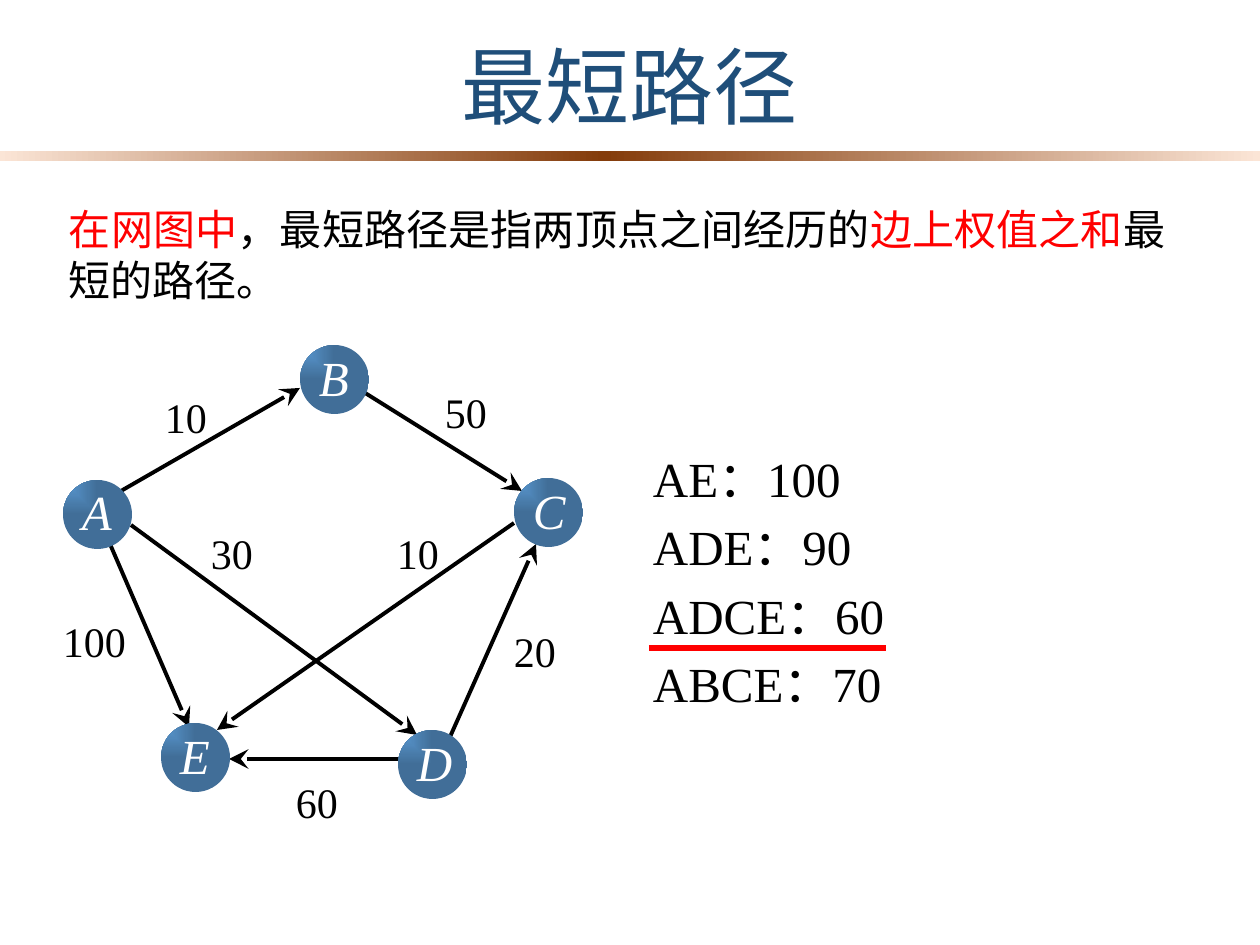
from dataclasses import dataclass

from lxml import etree
from pptx import Presentation
from pptx import util as u
from pptx.dml.color import RGBColor
from pptx.enum import shapes, text
from pptx.oxml import ns, parse_xml

PX = 914400 / 126


def px(value):
    return u.Emu(round(value * PX))


@dataclass(frozen=True)
class Theme:
    title: str = "1F4E79"
    ink: str = "000000"
    accent: str = "FF0000"
    node: str = "5B9BD5"
    node_ink: str = "FFFFFF"
    bar_edge: str = "FBE5D6"
    bar_middle: str = "843C0B"
    serif: str = "Times New Roman"
    sans: str = "Arial"
    chinese: str = "Noto Sans CJK SC"
    title_size: int = 48
    node_size: int = 28
    list_size: int = 28
    body_size: int = 24
    edge_width: float = 2.25
    underline_width: float = 3


class Painter:
    def __init__(self, slide, theme):
        self.slide = slide
        self.theme = theme

    def style(self, font, color, size=None, name=None, italic=None):
        font.color.rgb = RGBColor.from_string(color)
        font.name = name or self.theme.serif
        font.italic = italic
        if size:
            font.size = u.Pt(size)

    def title(self, words, left, top, width, height):
        shape = self.slide.shapes.title
        shape.left, shape.top, shape.width, shape.height = map(px, (left, top, width, height))
        frame = shape.text_frame
        frame.text = words
        frame.vertical_anchor = text.MSO_ANCHOR.MIDDLE
        paragraph = frame.paragraphs[0]
        paragraph.alignment = text.PP_ALIGN.CENTER
        self.style(paragraph.font, self.theme.title, self.theme.title_size, self.theme.sans)

    def gradient_shape(self, kind, box, stops, direction):
        shape = self.slide.shapes.add_shape(kind, *map(px, box))
        shape.shadow.inherit = False
        shape.line.fill.background()
        shape.fill.background()
        properties = shape._element.spPr
        marks = "".join(
            f'<a:gs pos="{position * 1000}"><a:srgbClr val="{color}">{shade}</a:srgbClr></a:gs>'
            for position, color, shade in stops)
        fill = parse_xml(f'<a:gradFill {ns.nsdecls("a")} rotWithShape="1">'
                         f'<a:gsLst>{marks}</a:gsLst>{direction}</a:gradFill>')
        properties.replace(properties.find(ns.qn("a:noFill")), fill)

    def bar(self, *box):
        edge, middle = self.theme.bar_edge, self.theme.bar_middle
        self.gradient_shape(shapes.MSO_SHAPE.RECTANGLE, box,
                            [(0, edge, ""), (48, middle, ""), (100, edge, "")],
                            '<a:lin ang="0" scaled="1"/>')

    def text_box(self, box, lines, size, color=None, margins=(13, 6, 13, 6),
                 align=None, before=0, italic=None):
        frame = self.slide.shapes.add_textbox(*map(px, box)).text_frame
        frame.word_wrap = True
        (frame.margin_left, frame.margin_top,
         frame.margin_right, frame.margin_bottom) = map(px, margins)
        for index, line in enumerate(lines):
            paragraph = frame.add_paragraph() if index else frame.paragraphs[0]
            paragraph.alignment = align
            if before:
                spacing = etree.SubElement(paragraph._p.get_or_add_pPr(), ns.qn("a:spcBef"))
                etree.SubElement(spacing, ns.qn("a:spcPct")).set("val", str(before * 1000))
            self.style(paragraph.font, color or self.theme.ink, size, italic=italic)
            if isinstance(line, str):
                paragraph.add_run().text = line
                continue
            for words, run_color, name in line:
                run = paragraph.add_run()
                run.text = words
                self.style(run.font, run_color, size, name)

    def node(self, name, left, top):
        self.gradient_shape(shapes.MSO_SHAPE.OVAL, (left, top, 69, 69),
                            [(0, self.theme.node, ""),
                             (100, self.theme.node, '<a:shade val="46275"/>')],
                            '<a:path path="rect"><a:fillToRect r="100000" b="100000"/></a:path>')
        self.text_box((left + 9, top - 6, 64, 82), [name], self.theme.node_size,
                      self.theme.node_ink, (10, 8, 0, 1), text.PP_ALIGN.JUSTIFY, italic=True)

    def line(self, start, end, color, width):
        connector = self.slide.shapes.add_connector(
            shapes.MSO_CONNECTOR.STRAIGHT, *map(px, (*start, *end)))
        connector.line.color.rgb = RGBColor.from_string(color)
        connector.line.width = u.Pt(width)
        etree.SubElement(connector._element.spPr, ns.qn("a:effectLst"))
        return connector

    def edge(self, start, end):
        connector = self.line(start, end, self.theme.ink, self.theme.edge_width)
        head = etree.SubElement(connector.line._get_or_add_ln(), ns.qn("a:tailEnd"))
        head.set("type", "stealth")
        head.set("w", "lg")
        head.set("len", "lg")

    def weight(self, value, left, top, width=76, margins=(13, 6, 13, 6)):
        self.text_box((left, top, width, 63), [value], self.theme.body_size,
                      margins=margins, before=50)


EDGES = [
    ((121, 491), (300, 388)),
    ((399, 759), (229, 759)),
    ((514, 523), (217, 730)),
    ((362, 391), (522, 491)),
    ((131, 525), (417, 735)),
    ((450, 737), (536, 544)),
    ((110, 544), (189, 727)),
]
NODES = [("B", 300, 345), ("A", 63, 480), ("E", 161, 723), ("D", 398, 730), ("C", 514, 478)]
WEIGHTS = [("10", 152, 386), ("50", 432, 381), ("30", 198, 522), ("10", 384, 522),
           ("20", 501, 620), ("60", 283, 771)]
PATHS = ["AE：100", "ADE：90", "ADCE：60", "ABCE：70"]


def main():
    theme = Theme()
    presentation = Presentation()
    presentation.slide_width, presentation.slide_height = px(1260), px(945)
    slide = presentation.slides.add_slide(presentation.slide_layouts[5])
    painter = Painter(slide, theme)

    painter.bar(-1, 151, 1261, 10)
    painter.title("最短路径", 113, 24, 1034, 122)
    definition = [
        ("在网图中", theme.accent, theme.serif),
        ("，最短路径", theme.ink, theme.serif),
        ("是指两顶点之间经历的", theme.ink, theme.chinese),
        ("边上权值之和", theme.accent, theme.chinese),
        ("最短的路径。", theme.ink, theme.chinese),
    ]
    painter.text_box((69, 198, 1096, 115), [definition], theme.body_size,
                     margins=(0, 6, 0, 6), align=text.PP_ALIGN.JUSTIFY, before=50)

    for start, end in EDGES:
        painter.edge(start, end)
    for node in NODES:
        painter.node(*node)
    for weight in WEIGHTS:
        painter.weight(*weight)
    painter.weight("100", 63, 610, 86, (0, 6, 13, 6))

    painter.text_box((640, 442, 517, 284), PATHS, theme.list_size, before=20)
    painter.line((649, 648), (886, 648), theme.accent, theme.underline_width)
    presentation.save("out.pptx")


if __name__ == "__main__":
    main()
